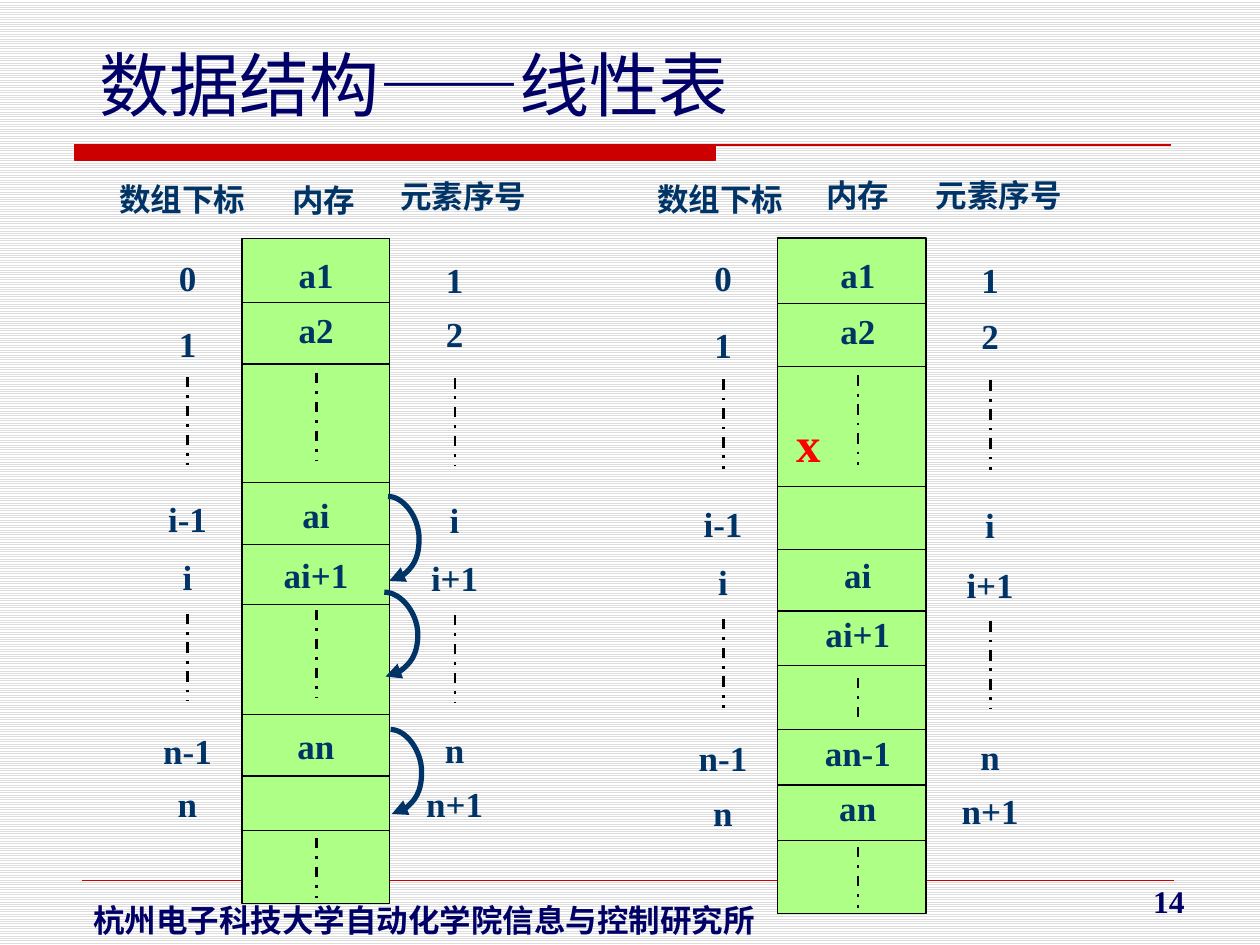
import pptx
import pptx.util
import pptx.dml.color
import pptx.enum.dml
import pptx.enum.shapes
import pptx.enum.text
import pptx.oxml
import pptx.oxml.ns
from lxml import etree

Inches = pptx.util.Inches
NAVY, BLUE, RED, BLACK, GREEN = "000066", "003366", "CC0000", "000000", "AEFF85"
SERIF = "Times New Roman"
# Character widths of the bold serif face, in ems; other characters are full width
EMS = {"i": 0.28, "n": 0.56, "a": 0.5, "+": 0.57, "-": 0.33, "0": 0.5, "1": 0.5, "2": 0.5}

# Offsets below are measured from the top left corner of the memory block
BEFORE = {
    "box": (1.92, 1.89, 1.17, 5.28),
    "dividers": [0.51, 1.0, 1.94, 2.43, 2.91, 3.78, 4.27, 4.7],
    "headers": [("数组下标", -0.47, -0.51), ("内存", 0.65, -0.5), ("元素序号", 1.76, -0.53)],
    "columns": [
        (-0.43, [("0", 0.1), ("1", 0.62), ("i-1", 2.01), ("i", 2.47), ("n-1", 3.85), ("n", 4.27)],
         [(1.1, 1.8), (2.98, 3.67)]),
        (0.59, [("a1", 0.07), ("a2", 0.51), ("ai", 1.98), ("ai+1", 2.45), ("an", 3.81)],
         [(1.07, 1.77), (2.95, 3.64), (4.76, 5.24)]),
        (1.69, [("1", 0.11), ("2", 0.54), ("i", 2.02), ("i+1", 2.48), ("n", 3.84), ("n+1", 4.27)],
         [(1.11, 1.81), (2.99, 3.68)]),
    ],
}
AFTER = {
    "box": (6.17, 1.89, 1.18, 5.36),
    "dividers": [0.52, 1.02, 1.97, 2.47, 2.96, 3.39, 3.9, 4.34, 4.78],
    "headers": [("数组下标", -0.45, -0.51), ("内存", 0.64, -0.54), ("元素序号", 1.76, -0.54)],
    "columns": [
        (-0.43, [("0", 0.1), ("1", 0.63), ("i-1", 2.05), ("i", 2.51), ("n-1", 3.91), ("n", 4.34)],
         [(1.12, 1.83), (3.02, 3.73)]),
        (0.64, [("a1", 0.07), ("a2", 0.52), ("ai", 2.45), ("ai+1", 2.92), ("an-1", 3.87), ("an", 4.3)],
         [(1.09, 1.8), (3.49, 3.83), (4.83, 5.32)]),
        (1.69, [("1", 0.11), ("2", 0.56), ("i", 2.06), ("i+1", 2.53), ("n", 3.9), ("n+1", 4.33)],
         [(1.13, 1.84), (3.04, 3.74)]),
    ],
}


def color(hex_value):
    return pptx.dml.color.RGBColor.from_string(hex_value)


def set_values(target, values):
    for name, value in values.items():
        setattr(target, name, value)


def add_run(paragraph, text, size, hex_color, font_name=SERIF, bold=True):
    run = paragraph.add_run()
    run.text = text
    set_values(run.font, {"name": font_name, "size": pptx.util.Pt(size), "bold": bold})
    run.font.color.rgb = color(hex_color)


def add_text(shapes, text, box, size=20, hex_color=BLUE, **frame_values):
    shape = shapes.add_textbox(*map(Inches, box))
    set_values(shape.text_frame, {"word_wrap": False, **frame_values})
    paragraph = shape.text_frame.paragraphs[0]
    add_run(paragraph, text, size, hex_color)
    return paragraph


def add_label(shapes, text, center, top, size=20):
    """Place a label in a box as wide as its text, centred on a column."""
    width = 0.2 + sum(EMS.get(character, 1) for character in text) * size / 72
    add_text(shapes, text, (center - width / 2, top, width, 0.43 if size == 20 else 0.4), size)


def add_line(shapes, start, end, hex_color=BLACK, width=0.75, dash=None, curved=False):
    kind = pptx.enum.shapes.MSO_CONNECTOR
    connector = shapes.add_connector(kind.CURVE if curved else kind.STRAIGHT,
                                     *map(Inches, (*start, *end)))
    connector.line.color.rgb = color(hex_color)
    set_values(connector.line, {"width": pptx.util.Pt(width), "dash_style": dash})
    etree.SubElement(connector._element.spPr, pptx.oxml.ns.qn("a:effectLst"))
    return connector


def add_shift_arrow(shapes, left, top, bulge):
    """Curve that bulges to the right and points at the next cell down."""
    width = 0.01
    connector = add_line(shapes, (left, top), (left + width, top + 0.67), BLUE, 3, curved=True)
    qn = pptx.oxml.ns.qn
    adjustments = connector._element.spPr.find(qn("a:prstGeom")).find(qn("a:avLst"))
    guide = etree.SubElement(adjustments, qn("a:gd"))
    guide.set("name", "adj1")
    guide.set("fmla", f"val {round(bulge / width * 100000)}")
    etree.SubElement(connector.line._get_or_add_ln(), qn("a:tailEnd")).set("type", "triangle")


def add_memory_panel(slide, panel):
    left, top, width, height = panel["box"]
    shapes = slide.shapes.add_group_shape().shapes

    # Memory block and its cell dividers
    block = shapes.add_shape(pptx.enum.shapes.MSO_SHAPE.RECTANGLE, *map(Inches, panel["box"]))
    block.shadow.inherit = False
    block.fill.solid()
    block.fill.fore_color.rgb = color(GREEN)
    block.line.color.rgb = color(BLACK)
    block.line.width = pptx.util.Pt(0.75)
    for offset in panel["dividers"]:
        add_line(shapes, (left, top + offset), (left + width, top + offset))

    # Headings
    for text, center, offset in panel["headers"]:
        add_label(shapes, text, left + center, top + offset, 18)

    # Subscripts, cell contents and ordinals, with dashes for the omitted rows
    for center, labels, gaps in panel["columns"]:
        for text, offset in labels:
            add_label(shapes, text, left + center, top + offset)
        for start, end in gaps:
            add_line(shapes, (left + center, top + start), (left + center, top + end),
                     width=1.5, dash=pptx.enum.dml.MSO_LINE.DASH_DOT)


def add_title(slide, box):
    title = slide.shapes.title
    set_values(title, dict(zip(("left", "top", "width", "height"), map(Inches, box))))
    set_values(title.text_frame, {"word_wrap": False,
                                  "auto_size": pptx.enum.text.MSO_AUTO_SIZE.NONE,
                                  "vertical_anchor": pptx.enum.text.MSO_ANCHOR.TOP})
    paragraph = title.text_frame.paragraphs[0]
    paragraph.alignment = pptx.enum.text.PP_ALIGN.LEFT
    for text, font_name in [("数据结构", "DejaVu Sans"), ("——", "Arial"), ("线性表", "DejaVu Sans")]:
        add_run(paragraph, text, 40, NAVY, font_name, False)


def add_title_rule(slide, box):
    """Thick bar with a thin line running on from its top edge."""
    left, top, width, height = map(Inches, box)
    bar_right = left + Inches(5.09)
    builder = slide.shapes.build_freeform(left, top)
    builder.add_line_segments([(bar_right, top), (bar_right, top + height), (left, top + height)])
    builder.move_to(left, top)
    builder.add_line_segments([(left + width, top)], close=False)
    rule = builder.convert_to_shape()
    rule.shadow.inherit = False
    rule.fill.solid()
    rule.fill.fore_color.rgb = color(RED)
    rule.line.color.rgb = color(RED)
    rule.line.width = pptx.util.Pt(0.75)


def add_footer(slide, box):
    left, top, width, height = box
    add_line(slide.shapes, (left, top), (left + width, top), RED, 0.25)
    add_text(slide.shapes, "杭州电子科技大学自动化学院信息与控制研究所",
             (left - 0.01, top + 0.11, 5.5, 0.4), 18, NAVY)


def main():
    presentation = pptx.Presentation()
    set_values(presentation, {"slide_width": Inches(10), "slide_height": Inches(7.5)})
    slide = presentation.slides.add_slide(presentation.slide_layouts[5])

    # Finely ruled background
    background = slide.background.fill
    background.patterned()
    background.pattern = pptx.enum.dml.MSO_PATTERN.LIGHT_HORIZONTAL
    background.fore_color.rgb = color("DDDDDD")
    background.back_color.rgb = color("FFFFFF")

    add_title_rule(slide, (0.59, 1.15, 8.7, 0.12))
    add_title(slide, (0.69, 0.28, 5.2, 0.77))
    add_footer(slide, (0.65, 6.99, 8.67, 0.51))

    # Array before and after the insertion
    add_memory_panel(slide, BEFORE)
    for left, top, bulge in [(3.1, 5.79, 0.25), (3.05, 4.7, 0.27), (3.08, 3.94, 0.25)]:
        add_shift_arrow(slide.shapes, left, top, bulge)
    add_memory_panel(slide, AFTER)
    # Inserted element
    add_text(slide.shapes, "x", (6.22, 3.23, 0.4, 0.57), 28, "FF0000")

    # Page number
    number = add_text(slide.shapes, "14", (7.17, 6.95, 2.33, 0.4), 18, NAVY, word_wrap=True,
                      vertical_anchor=pptx.enum.text.MSO_ANCHOR.MIDDLE)
    number.alignment = pptx.enum.text.PP_ALIGN.RIGHT
    presentation.save("out.pptx")


if __name__ == "__main__":
    main()
